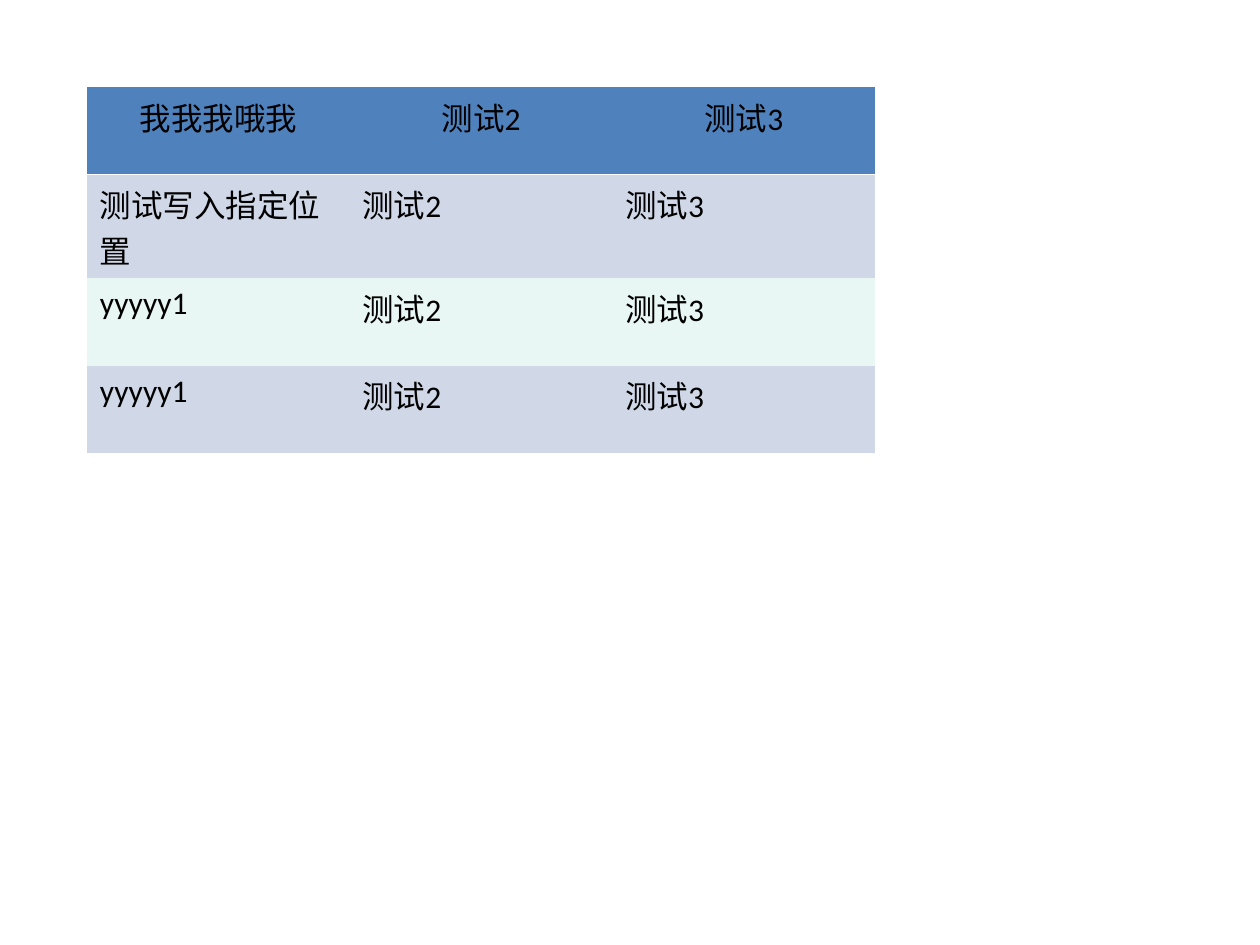
from lxml import etree
from pptx import Presentation
from pptx import util as u
from pptx.dml.color import RGBColor
from pptx.enum import text
from pptx.oxml.ns import qn

COLORS = {
    "header": "4F81BD",
    "odd_row": "D0D8E8",
    "even_row": "E9F7F4",
    "text": "000000",
    "rule": "FFFFFF",
}
ROWS = [
    ["我我我哦我", "测试2", "测试3"],
    ["测试写入指定位置", "测试2", "测试3"],
    ["yyyyy1", "测试2", "测试3"],
    ["yyyyy1", "测试2", "测试3"],
]
PLAIN_TABLE_STYLE = "{2D5ABB26-0587-4C30-8999-92F81FD0307C}"


def add_bottom_rule(cell):
    properties = cell._tc.get_or_add_tcPr()
    line = etree.Element(qn("a:lnB"), w=str(u.Pt(0.75)))
    fill = etree.SubElement(line, qn("a:solidFill"))
    etree.SubElement(fill, qn("a:srgbClr"), val=COLORS["rule"])
    properties.insert(0, line)


def format_cell(cell, content, fill_color):
    cell.fill.solid()
    cell.fill.fore_color.rgb = RGBColor.from_string(fill_color)
    cell.text_frame.text = content
    font = cell.text_frame.paragraphs[0].runs[0].font
    font.name = "Calibri"
    font.size = u.Pt(18)
    font.color.rgb = RGBColor.from_string(COLORS["text"])


def format_header_cell(cell):
    cell.margin_bottom = u.Cm(0.08)
    cell.text_frame.paragraphs[0].alignment = text.PP_ALIGN.CENTER
    add_bottom_rule(cell)


def add_test_table(slide, left, top, width, height, row_height):
    frame = slide.shapes.add_table(len(ROWS), len(ROWS[0]), left, top, width, height)
    table = frame.table
    table._tbl.tblPr.find(qn("a:tableStyleId")).text = PLAIN_TABLE_STYLE
    for row_index, contents in enumerate(ROWS):
        table.rows[row_index].height = row_height
        band = "odd_row" if row_index % 2 else "even_row"
        fill_color = COLORS["header" if row_index == 0 else band]
        for column_index, content in enumerate(contents):
            cell = table.cell(row_index, column_index)
            format_cell(cell, content, fill_color)
            if row_index == 0:
                format_header_cell(cell)
    frame.height = height


def main():
    presentation = Presentation()
    presentation.slide_width = u.Cm(25.4)
    presentation.slide_height = u.Cm(19.05)
    slide = presentation.slides.add_slide(presentation.slide_layouts[6])
    add_test_table(slide, u.Cm(1.76), u.Cm(1.76), u.Cm(15.88), u.Cm(10.58), u.Cm(1.76))
    presentation.save("out.pptx")


if __name__ == "__main__":
    main()
